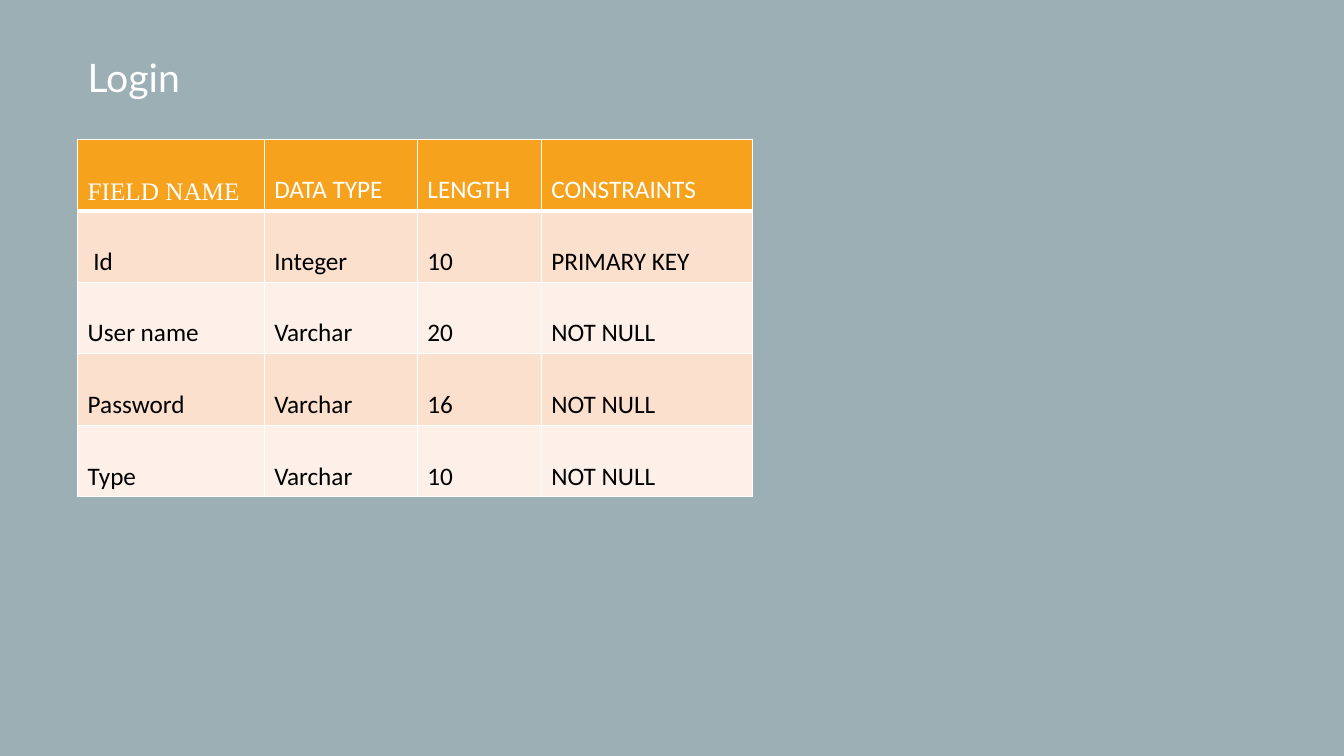
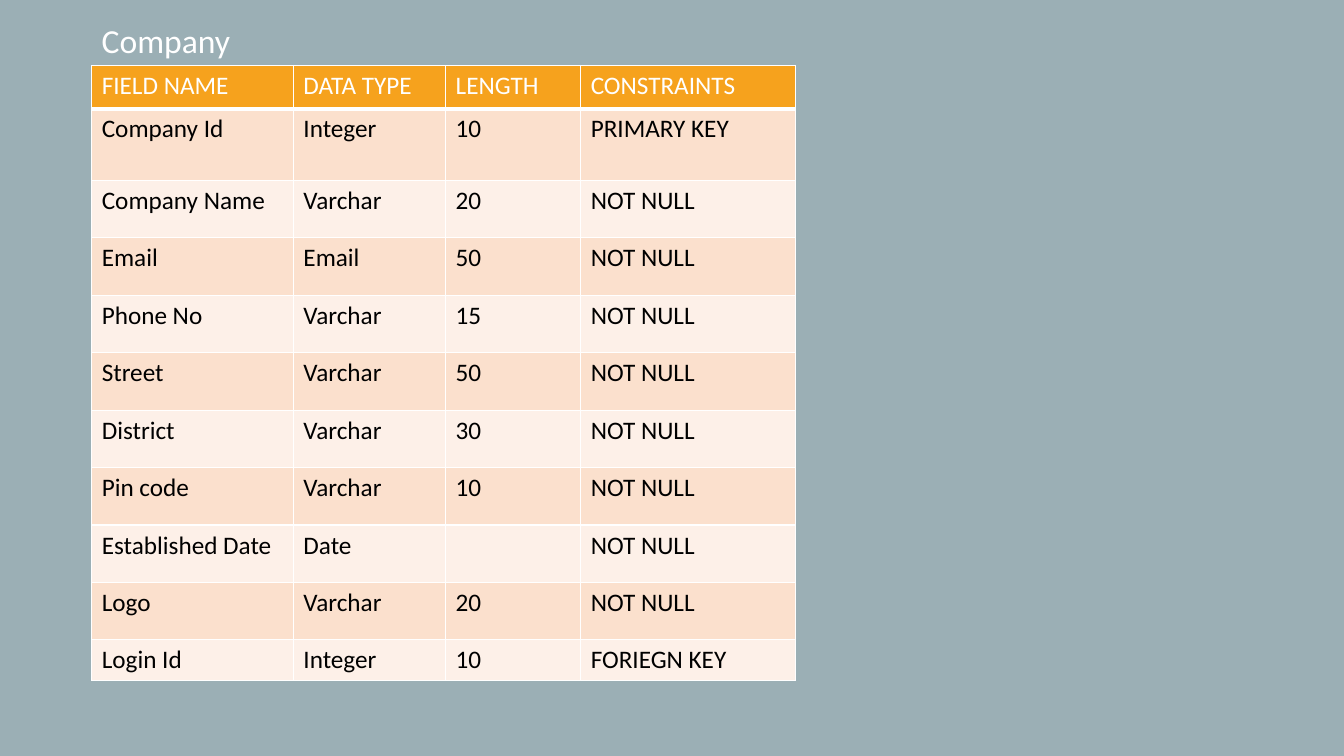
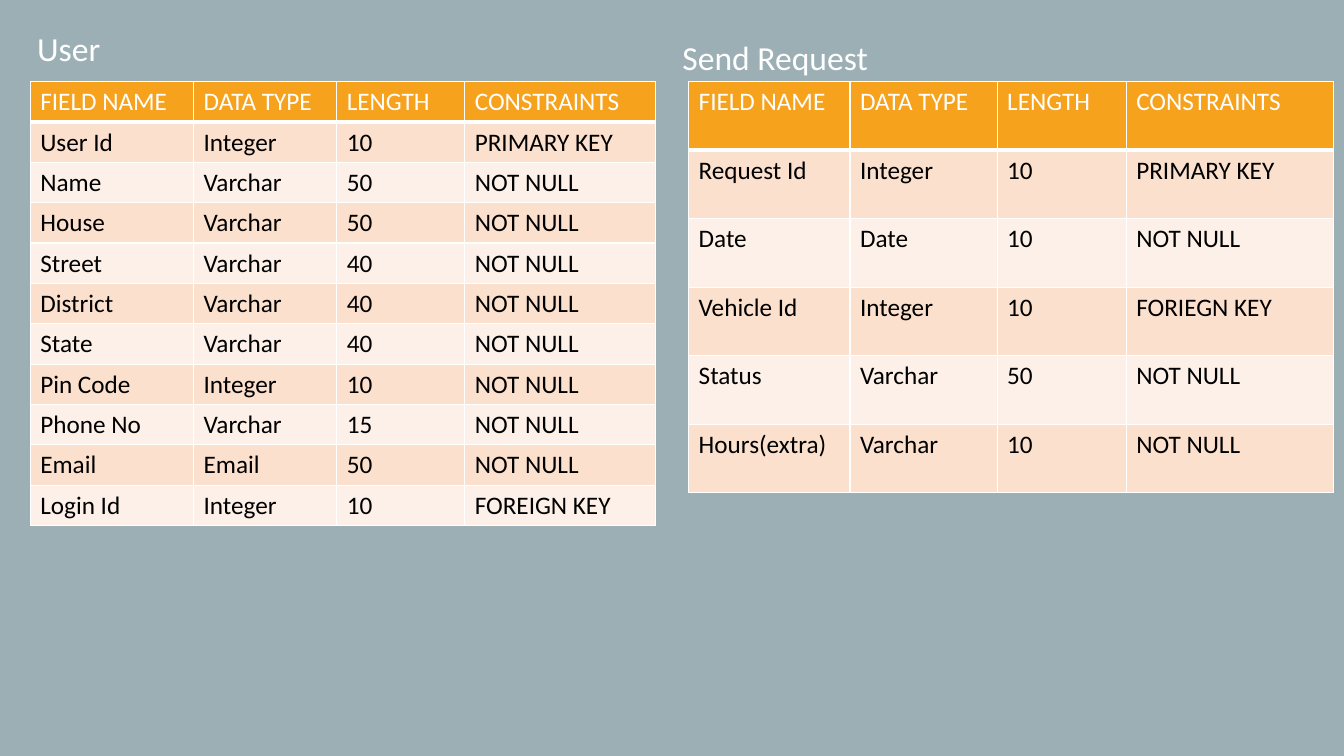
from dataclasses import dataclass
from lxml import etree
from pptx import Presentation
from pptx.dml.color import RGBColor
from pptx.enum.text import MSO_ANCHOR
from pptx.oxml.ns import qn
from pptx.util import Inches, Pt

TOP, BOTTOM = MSO_ANCHOR.TOP, MSO_ANCHOR.BOTTOM


@dataclass(frozen=True)
class Theme:
    background: str = "9BAFB5"
    header: str = "F6A21D"
    bands: tuple = ("FBE0CD", "FDF0E8")
    white: str = "FFFFFF"
    ink: str = "000000"
    font: str = "Calibri"
    title_size: int = 24
    cell_size: int = 18
    rule: int = 1
    header_rule: int = 3


THEME = Theme()
HEADINGS = ("FIELD NAME", "DATA TYPE", "LENGTH", "CONSTRAINTS")

LOGIN = {
    "title": "Login", "title_box": (0.77, 0.48, 1.58, 0.57),
    "title_font": "Lato", "title_size": 28,
    "origin": (0.77, 1.38), "columns": (1.85, 1.52, 1.23, 2.09),
    "row_heights": [0.71] * 5, "anchor": BOTTOM,
    "first_heading_font": "Times New Roman",
    "fields": [
        (" Id", "Integer", "10", "PRIMARY KEY"),
        ("User name", "Varchar", "20", "NOT NULL"),
        ("Password", "Varchar", "16", "NOT NULL"),
        ("Type", "Varchar", "10", "NOT NULL"),
    ],
}
COMPANY = {
    "title": "Company", "title_box": (0.91, 0.15, 7.23, 0.5),
    "origin": (0.91, 0.65), "columns": (2, 1.51, 1.34, 2.13),
    "row_heights": [0.43, 0.71] + [0.57] * 8 + [0.4],
    "fields": [
        ("Company Id", "Integer", "10", "PRIMARY KEY"),
        ("Company Name", "Varchar", "20", "NOT NULL"),
        ("Email", "Email", "50", "NOT NULL"),
        ("Phone No", "Varchar", "15", "NOT NULL"),
        ("Street", "Varchar", "50", "NOT NULL"),
        ("District", "Varchar", "30", "NOT NULL"),
        ("Pin code", "Varchar", "10", "NOT NULL"),
        ("Established Date", "Date", "", "NOT NULL"),
        ("Logo", "Varchar", "20", "NOT NULL"),
        ("Login Id", "Integer", "10", "FORIEGN KEY"),
    ],
}
USER = {
    "title": "User", "title_box": (0.27, 0.23, 2.83, 0.5),
    "origin": (0.3, 0.81), "columns": (1.62, 1.42, 1.27, 1.89),
    "row_heights": [0.4] * 11,
    "fields": [
        ("User Id", "Integer", "10", "PRIMARY KEY"),
        ("Name", "Varchar", "50", "NOT NULL"),
        ("House", "Varchar", "50", "NOT NULL"),
        ("Street", "Varchar", "40", "NOT NULL"),
        ("District", "Varchar", "40", "NOT NULL"),
        ("State", "Varchar", "40", "NOT NULL"),
        ("Pin Code", "Integer", "10", "NOT NULL"),
        ("Phone No", "Varchar", "15", "NOT NULL"),
        ("Email", "Email", "50", "NOT NULL"),
        ("Login Id", "Integer", "10", "FOREIGN KEY"),
    ],
}
SEND_REQUEST = {
    "title": "Send Request", "title_box": (6.67, 0.32, 5.46, 0.5),
    "origin": (6.83, 0.81), "columns": (1.6, 1.46, 1.28, 2.06),
    "row_heights": [0.68] * 6,
    "fields": [
        ("Request Id", "Integer", "10", "PRIMARY KEY"),
        ("Date", "Date", "10", "NOT NULL"),
        ("Vehicle Id", "Integer", "10", "FORIEGN KEY"),
        ("Status", "Varchar", "50", "NOT NULL"),
        ("Hours(extra)", "Varchar", "10", "NOT NULL"),
    ],
}
SLIDES = [[LOGIN], [COMPANY], [USER, SEND_REQUEST]]


def paint(fill, color):
    fill.solid()
    fill.fore_color.rgb = RGBColor.from_string(color)


def write(frame, text, size, color, font):
    run = frame.paragraphs[0].add_run()
    run.text = text
    run.font.size = Pt(size)
    run.font.name = font
    run.font.color.rgb = RGBColor.from_string(color)


def add_borders(cell, top, bottom):
    properties = cell._tc.get_or_add_tcPr()
    widths = {"lnL": THEME.rule, "lnR": THEME.rule, "lnT": top, "lnB": bottom}
    for side, width in widths.items():
        line = etree.SubElement(properties, qn(f"a:{side}"), w=str(Pt(width)))
        fill = etree.SubElement(line, qn("a:solidFill"))
        etree.SubElement(fill, qn("a:srgbClr"), val=THEME.white)


def add_title(slide, entity):
    box = slide.shapes.add_textbox(*map(Inches, entity["title_box"]))
    box.text_frame.word_wrap = True
    write(box.text_frame, entity["title"], entity.get("title_size", THEME.title_size),
          THEME.white, entity.get("title_font", THEME.font))


def add_fields(slide, entity):
    rows = [HEADINGS] + entity["fields"]
    columns, heights = entity["columns"], entity["row_heights"]
    extent = (*entity["origin"], sum(columns), sum(heights))
    table = slide.shapes.add_table(len(rows), len(columns), *map(Inches, extent)).table
    table.first_row = table.horz_banding = False
    for column, width in zip(table.columns, columns):
        column.width = Inches(width)
    for r, (values, height) in enumerate(zip(rows, heights)):
        table.rows[r].height = Inches(height)
        is_header = r == 0
        for c, value in enumerate(values):
            cell = table.cell(r, c)
            cell.vertical_anchor = entity.get("anchor", TOP)
            add_borders(cell, THEME.header_rule if r == 1 else THEME.rule,
                        THEME.header_rule if is_header else THEME.rule)
            paint(cell.fill, THEME.header if is_header else THEME.bands[(r - 1) % 2])
            font = THEME.font
            if is_header and c == 0:
                font = entity.get("first_heading_font", font)
            if value:
                write(cell.text_frame, value, THEME.cell_size,
                      THEME.white if is_header else THEME.ink, font)


def main():
    deck = Presentation()
    deck.slide_width, deck.slide_height = Inches(13.33), Inches(7.5)
    paint(deck.slide_master.background.fill, THEME.background)
    for entities in SLIDES:
        slide = deck.slides.add_slide(deck.slide_layouts[6])
        for entity in entities:
            add_title(slide, entity)
            add_fields(slide, entity)
    deck.save("out.pptx")


if __name__ == "__main__":
    main()
